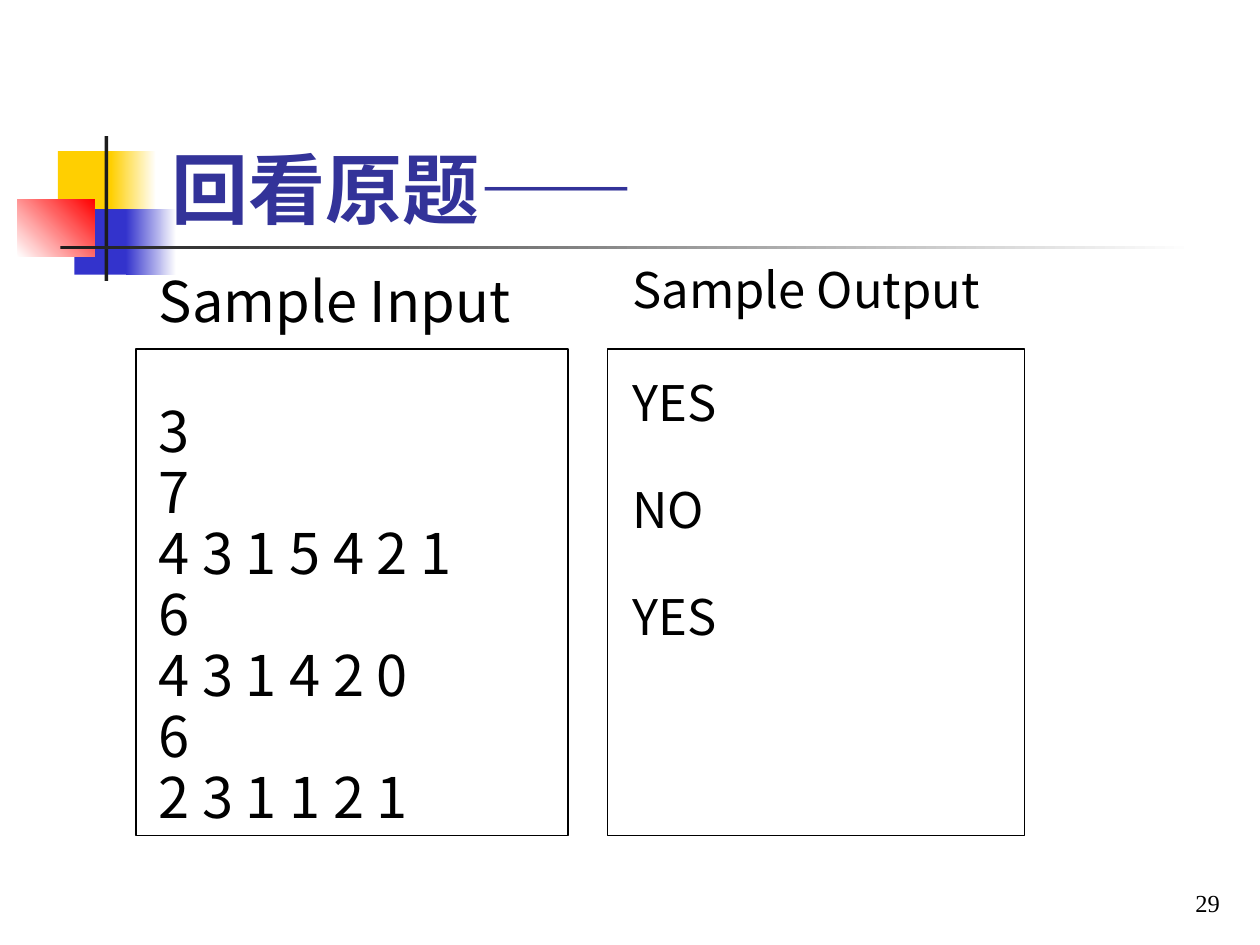
"""Build the sample input and output slide."""
from dataclasses import dataclass

from lxml import etree
from pptx import Presentation
from pptx.dml.color import RGBColor
from pptx.enum.shapes import MSO_SHAPE
from pptx.enum.text import MSO_ANCHOR, MSO_AUTO_SIZE, PP_ALIGN
from pptx.oxml.ns import qn
from pptx.util import Inches, Pt

RECTANGLE = MSO_SHAPE.RECTANGLE
BOTTOM, TOP = MSO_ANCHOR.BOTTOM, MSO_ANCHOR.TOP
LEFT, RIGHT = PP_ALIGN.LEFT, PP_ALIGN.RIGHT
NO_AUTOFIT = MSO_AUTO_SIZE.NONE


@dataclass(frozen=True)
class Theme:
    """Colours, fonts and type sizes."""
    yellow: str = "FFCF01"
    blue: str = "3333CC"
    red: str = "FF0000"
    dark: str = "1C1C1C"
    white: str = "FFFFFF"
    black: str = "000000"
    title: str = "333399"
    title_font: str = "Arial"
    body_font: str = "Noto Sans CJK KR"
    number_font: str = "Times New Roman"
    title_size: int = 44
    input_size: int = 32
    output_size: int = 28
    number_size: int = 14


@dataclass(frozen=True)
class Box:
    """A place on the slide in inches."""
    left: float
    top: float
    width: float
    height: float


@dataclass(frozen=True)
class Block:
    """A decorative rectangle, plain or fading to a second colour."""
    box: Box
    color: str
    end_color: str = ""
    angle: int = 0


@dataclass(frozen=True)
class Sample:
    """A framed list of sample lines under a heading."""
    frame: Box
    text: Box
    heading: str
    lines: tuple
    size: int
    heading_gap: float
    line_gap: float


THEME = Theme()
BLOCKS = (
    Block(Box(0.46, 1.2, 0.48, 0.52), THEME.yellow),
    Block(Box(0.88, 1.2, 0.36, 0.52), THEME.yellow, THEME.white),
    Block(Box(0.59, 1.66, 0.46, 0.52), THEME.blue),
    Block(Box(1, 1.66, 0.4, 0.52), THEME.blue, THEME.white),
    Block(Box(0.14, 1.58, 0.61, 0.46), THEME.white, THEME.red, 45),
    Block(Box(0.83, 1.08, 0.03, 1.15), THEME.dark),
    Block(Box(0.48, 1.95, 9, 0.03), THEME.dark, THEME.white),
)
SAMPLES = (
    Sample(Box(1.08, 2.77, 3.43, 3.86), Box(1.16, 2.21, 3.62, 4.45), "Sample Input",
           ("3", "7", "4 3 1 5 4 2 1", "6", "4 3 1 4 2 0", "6", "2 3 1 1 2 1"),
           THEME.input_size, 47.4, 8),
    Sample(Box(4.82, 2.77, 3.31, 3.86), Box(4.92, 2.14, 3.58, 3.56), "Sample Output",
           ("YES", "NO", "YES"), THEME.output_size, 41, 37.6),
)


def lengths(box: Box) -> tuple:
    """Return the box as slide lengths."""
    return tuple(Inches(value) for value in (box.left, box.top, box.width, box.height))


def place(shape, box: Box) -> None:
    """Move and size a shape and bring it to the front."""
    shape.left, shape.top, shape.width, shape.height = lengths(box)
    shape.element.getparent().append(shape.element)


def add_block(slide, block: Block) -> None:
    """Draw a decorative rectangle."""
    shape = slide.shapes.add_shape(RECTANGLE, *lengths(block.box))
    shape.shadow.inherit = False
    shape.line.fill.background()
    if block.end_color:
        shape.fill.gradient()
        shape.fill.gradient_angle = block.angle
        for stop, color in zip(shape.fill.gradient_stops, (block.color, block.end_color)):
            stop.color.rgb = RGBColor.from_string(color)
    else:
        shape.fill.solid()
        shape.fill.fore_color.rgb = RGBColor.from_string(block.color)


def add_frame(slide, box: Box) -> None:
    """Draw an unfilled outline."""
    shape = slide.shapes.add_shape(RECTANGLE, *lengths(box))
    shape.shadow.inherit = False
    shape.fill.background()
    shape.line.color.rgb = RGBColor.from_string(THEME.black)
    shape.line.width = Pt(0.75)


def write(shape, lines: tuple, *, size: int, font: str, color: str = THEME.black,
          bold: bool = False, align=LEFT, anchor=TOP, spacing: float = 1.0,
          gaps: tuple = (0,)) -> None:
    """Write unbulleted paragraphs with the given format."""
    frame = shape.text_frame
    frame.word_wrap = True
    frame.auto_size = NO_AUTOFIT
    frame.vertical_anchor = anchor
    frame.text = "\n".join(lines)
    for paragraph, gap in zip(frame.paragraphs, gaps):
        properties = paragraph._p.get_or_add_pPr()
        properties.set("marL", "0")
        properties.set("indent", "0")
        etree.SubElement(properties, qn("a:buNone"))
        paragraph.alignment = align
        paragraph.line_spacing = spacing
        paragraph.space_before = Pt(gap)
        for run in paragraph.runs:
            run.font.size = Pt(size)
            run.font.name = font
            run.font.bold = bold
            run.font.color.rgb = RGBColor.from_string(color)


def main() -> None:
    """Build and save the slide."""
    presentation = Presentation()
    presentation.slide_width, presentation.slide_height = Inches(10), Inches(7.5)
    slide = presentation.slides.add_slide(presentation.slide_layouts.get_by_name("Two Content"))
    title, *bodies = slide.placeholders
    for block in BLOCKS:
        add_block(slide, block)
    for sample, body in zip(SAMPLES, bodies):
        add_frame(slide, sample.frame)
        place(body, sample.text)
        gaps = (0, sample.heading_gap) + (sample.line_gap,) * (len(sample.lines) - 1)
        write(body, (sample.heading, *sample.lines), size=sample.size,
              font=THEME.body_font, spacing=0.7, gaps=gaps)
    place(title, Box(1.26, 1.03, 6.58, 0.88))
    write(title, ("回看原题——",), size=THEME.title_size, font=THEME.title_font,
          color=THEME.title, bold=True, anchor=BOTTOM)
    number = slide.shapes.add_textbox(*lengths(Box(7.7, 6.83, 2.08, 0.5)))
    write(number, ("29",), size=THEME.number_size, font=THEME.number_font,
          align=RIGHT, anchor=BOTTOM)
    presentation.save("out.pptx")


if __name__ == "__main__":
    main()
